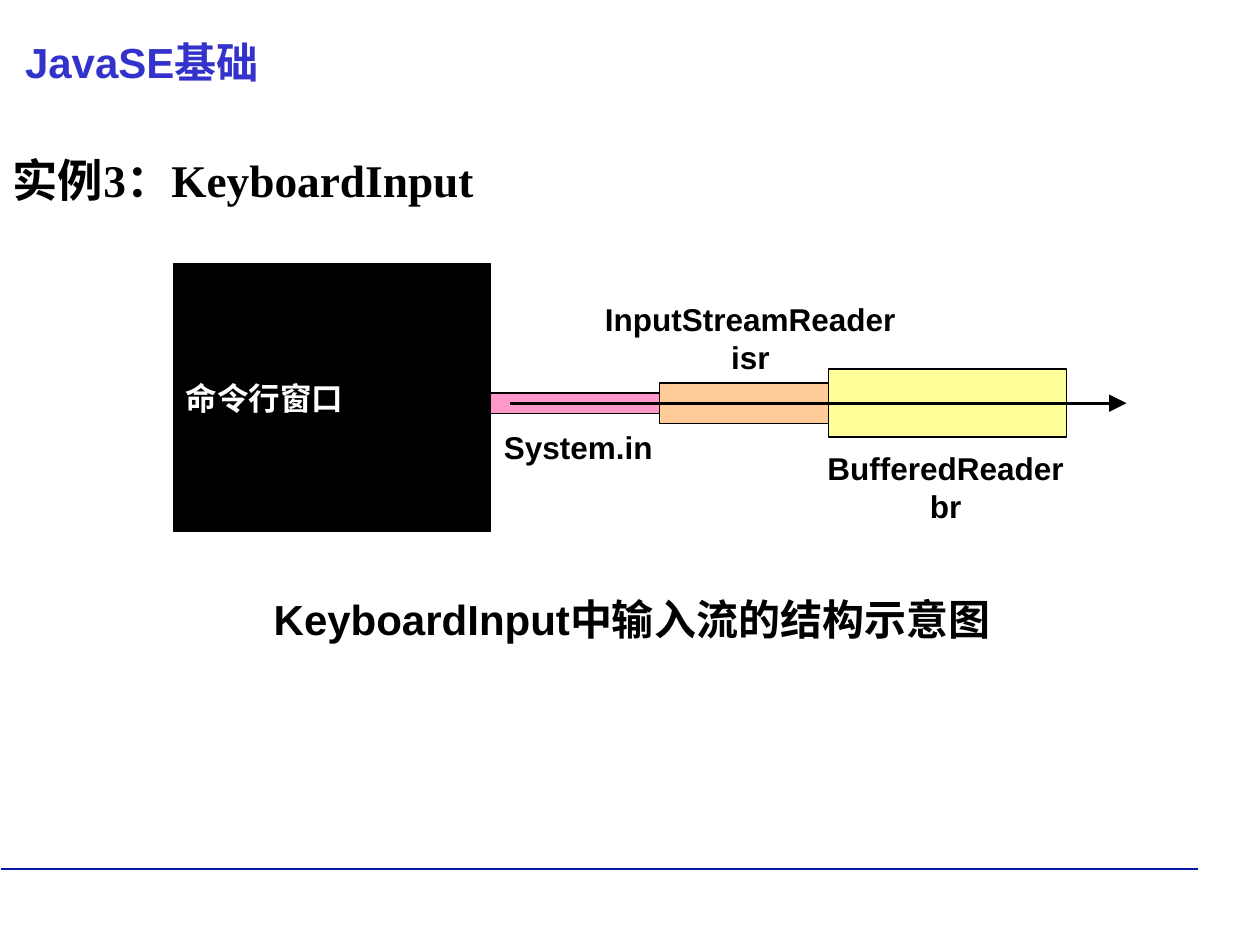
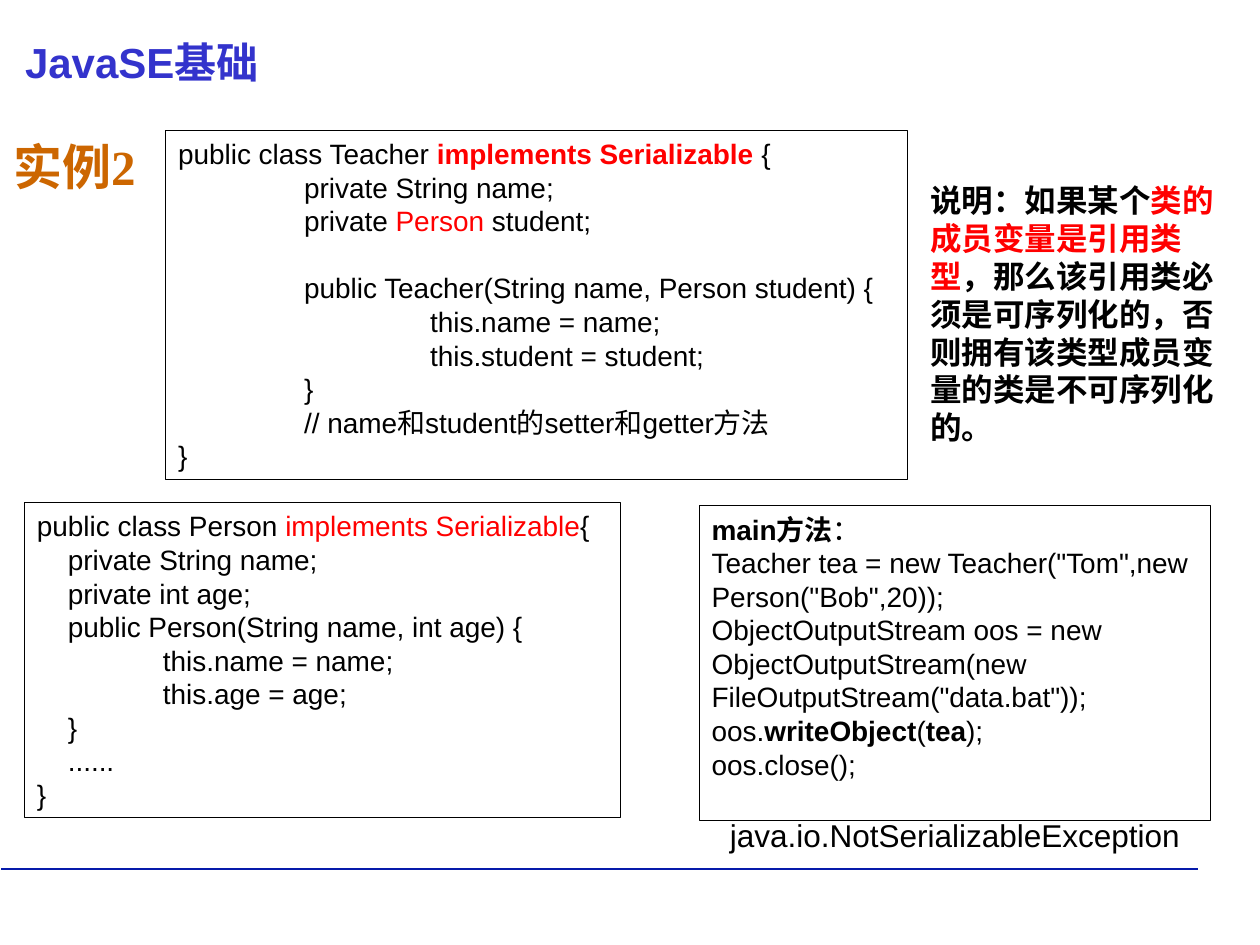
from lxml import etree
from pptx import Presentation
from pptx.dml.color import RGBColor
from pptx.enum.shapes import MSO_CONNECTOR, MSO_SHAPE
from pptx.enum.text import MSO_ANCHOR, MSO_AUTO_SIZE, PP_ALIGN
from pptx.oxml.ns import qn
from pptx.util import Inches, Pt

STRAIGHT = MSO_CONNECTOR.STRAIGHT
RECTANGLE = MSO_SHAPE.RECTANGLE
TOP, MIDDLE = MSO_ANCHOR.TOP, MSO_ANCHOR.MIDDLE
LEFT, CENTER = PP_ALIGN.LEFT, PP_ALIGN.CENTER
FIXED_SIZE = MSO_AUTO_SIZE.NONE

BLACK, WHITE, RED = "000000", "FFFFFF", "FF0000"
HEADER_BLUE, RULE_BLUE, TITLE_ORANGE = "3333CC", "061AAA", "CC6600"
PINK, ORANGE, YELLOW = "FF99CC", "FFCC99", "FFFF99"
SANS, SERIF, CHINESE = "Arial", "Times New Roman", "Noto Sans CJK SC"
colour = RGBColor.from_string

presentation = Presentation()
presentation.slide_width, presentation.slide_height = Inches(10), Inches(7.5)
CELL = presentation.slide_width // 100  # square grid: 100 columns, 75 rows


def add_box(slide, at, fill=None, outlined=True):
    """Add an outlined rectangle, or a plain text box; at is in grid cells."""
    place = [round(length * CELL) for length in at]
    if not outlined:
        return slide.shapes.add_textbox(*place)
    box = slide.shapes.add_shape(RECTANGLE, *place)
    box.shadow.inherit = False
    box.line.color.rgb = colour(BLACK)
    box.line.width = Pt(0.75)
    if fill:
        box.fill.solid()
        box.fill.fore_color.rgb = colour(fill)
    else:
        box.fill.background()
    return box


def write(shape, lines, size, color=BLACK, bold=False, font=SANS,
          align=LEFT, anchor=TOP, wrap=True):
    """Write lines; a line is a string or a list of (text, colour, bold)."""
    frame = shape.text_frame
    frame.auto_size = FIXED_SIZE
    frame.word_wrap = wrap
    frame.vertical_anchor = anchor
    for number, line in enumerate(lines):
        paragraph = frame.add_paragraph() if number else frame.paragraphs[0]
        paragraph.alignment = align
        # Tab stops every inch, punctuation kept inside the margin
        properties = paragraph._p.get_or_add_pPr()
        properties.set("hangingPunct", "0")
        tabs = etree.SubElement(properties, qn("a:tabLst"))
        for inch in range(8):
            etree.SubElement(tabs, qn("a:tab"), pos=str(Inches(inch)), algn="l")
        pieces = [(line, color, bold)] if isinstance(line, str) else line
        for text, piece_color, piece_bold in pieces:
            run = paragraph.add_run()
            run.text = text
            run.font.size = Pt(size)
            run.font.name = font
            run.font.bold = piece_bold
            run.font.color.rgb = colour(piece_color)
            etree.SubElement(run.font._element, qn("a:ea"), typeface=CHINESE)


# Shared parts: footer rule, course header and moved title
titles = [
    dict(at=(0, 10.7, 41.3, 7.9), text="实例3：KeyboardInput", size=25.9,
         color=BLACK, align=LEFT, spacing=1.2),
    dict(at=(0, 10.3, 11.8, 6), text="实例2", size=28,
         color=TITLE_ORANGE, align=CENTER, spacing=1),
]
lines_to_draw = []
for title in titles:
    slide = presentation.slides.add_slide(presentation.slide_layouts[5])
    lines_to_draw.append((slide, (0.1, 69, 95.1, 69), RULE_BLUE, 1.25, False))
    header = add_box(slide, (1, 2.4, 92.2, 5), outlined=False)
    write(header, ["JavaSE基础"], 24, HEADER_BLUE, bold=True)

    shape = slide.shapes.title
    shape.left, shape.top, shape.width, shape.height = [
        round(length * CELL) for length in title["at"]]
    write(shape, [title["text"]], title["size"], title["color"], bold=True,
          font=SERIF, align=title["align"])
    shape.text_frame.paragraphs[0].line_spacing = title["spacing"]
stream_slide, code_slide = presentation.slides

# Slide 1: command window and the chained streams, centred on one axis
window = add_box(stream_slide, (13.75, 20.95, 25.2, 21.2), BLACK)
write(window, ["命令行窗口"], 18, WHITE, bold=True, anchor=MIDDLE)
AXIS = 32
stream_left = 38.95
for width, height, fill in [(13.4, 1.6, PINK), (13.4, 3.2, ORANGE),
                            (18.9, 5.4, YELLOW)]:
    add_box(stream_slide, (stream_left, AXIS - height / 2, width, height), fill)
    stream_left += width
lines_to_draw.append((stream_slide, (40.5, AXIS, 89.4, AXIS), BLACK, 1.5, True))

# Slide 1: stream labels and caption
for at, label, size in [
    ((39, 33.5, 13.8, 4), ["System.in"], 18),
    ((47.05, 23.3, 25, 7), ["InputStreamReader", "isr"], 18),
    ((64.7, 35.15, 20.7, 7), ["BufferedReader", "br"], 18),
    ((20.35, 46.65, 59.6, 5), ["KeyboardInput中输入流的结构示意图"], 24),
]:
    text_box = add_box(stream_slide, at, outlined=False)
    write(text_box, label, size, bold=True, align=CENTER, wrap=False)

# Slide 2: code boxes
teacher_code = [
    [("public class Teacher ", BLACK, False),
     ("implements Serializable ", RED, True), ("{", BLACK, False)],
    "\tprivate String name;",
    [("\tprivate ", BLACK, False), ("Person", RED, False),
     (" student;", BLACK, False)],
    "\tpublic Teacher(String name, Person student) {",
    "\t\tthis.name = name;",
    "\t\tthis.student = student;",
    "\t}",
    "\t// name和student的setter和getter方法",
    "}",
]
person_code = [
    [("public class Person ", BLACK, False),
     ("implements Serializable", RED, False), ("{", BLACK, False)],
    "    private String name;",
    "    private int age;",
    "    public Person(String name, int age) {",
    "\tthis.name = name;",
    "\tthis.age = age;",
    "    }",
    "    ......",
    "}",
]
main_code = [
    [("main方法", BLACK, True), ("：", BLACK, False)],
    'Teacher tea = new Teacher("Tom",new Person("Bob",20));',
    "ObjectOutputStream oos = new ObjectOutputStream(new "
    'FileOutputStream("data.bat"));',
    [("oos.", BLACK, False), ("writeObject", BLACK, True),
     ("(", BLACK, False), ("tea", BLACK, True), (");", BLACK, False)],
    "oos.close();",
]
code_boxes = []
for at, code in [((13.15, 10.35, 58.9, 27.7), teacher_code),
                 ((1.95, 39.9, 47.3, 25), person_code),
                 ((55.5, 40.15, 40.6, 25), main_code)]:
    code_box = add_box(code_slide, at)
    write(code_box, code, 16)
    code_boxes.append(code_box)
# One line of space above the Teacher constructor
code_boxes[0].text_frame.paragraphs[3].space_before = Pt(19.2)

# Slide 2: explanation and resulting exception
note = add_box(code_slide, (72.85, 13.9, 26, 21.9), outlined=False)
write(note, [[
    ("说明：如果某个", BLACK, True),
    ("类的成员变量是引用类型", RED, True),
    ("，那么该引用类必须是可序列化的，否则拥有该类型成员变量的类是不可序列化的。",
     BLACK, True),
]], 18, font=CHINESE)
exception = add_box(code_slide, (56.95, 64.3, 37.7, 4), outlined=False)
write(exception, ["java.io.NotSerializableException"], 18, wrap=False)

# Footer rules and the data flow arrow
for slide, ends, color, width, arrow in lines_to_draw:
    connector = slide.shapes.add_connector(
        STRAIGHT, *[round(length * CELL) for length in ends])
    connector.line.color.rgb = colour(color)
    connector.line.width = Pt(width)
    if arrow:
        etree.SubElement(connector.line._get_or_add_ln(), qn("a:tailEnd"),
                         type="triangle", w="lg", len="lg")
    etree.SubElement(connector._element.spPr, qn("a:effectLst"))

presentation.save("out.pptx")
